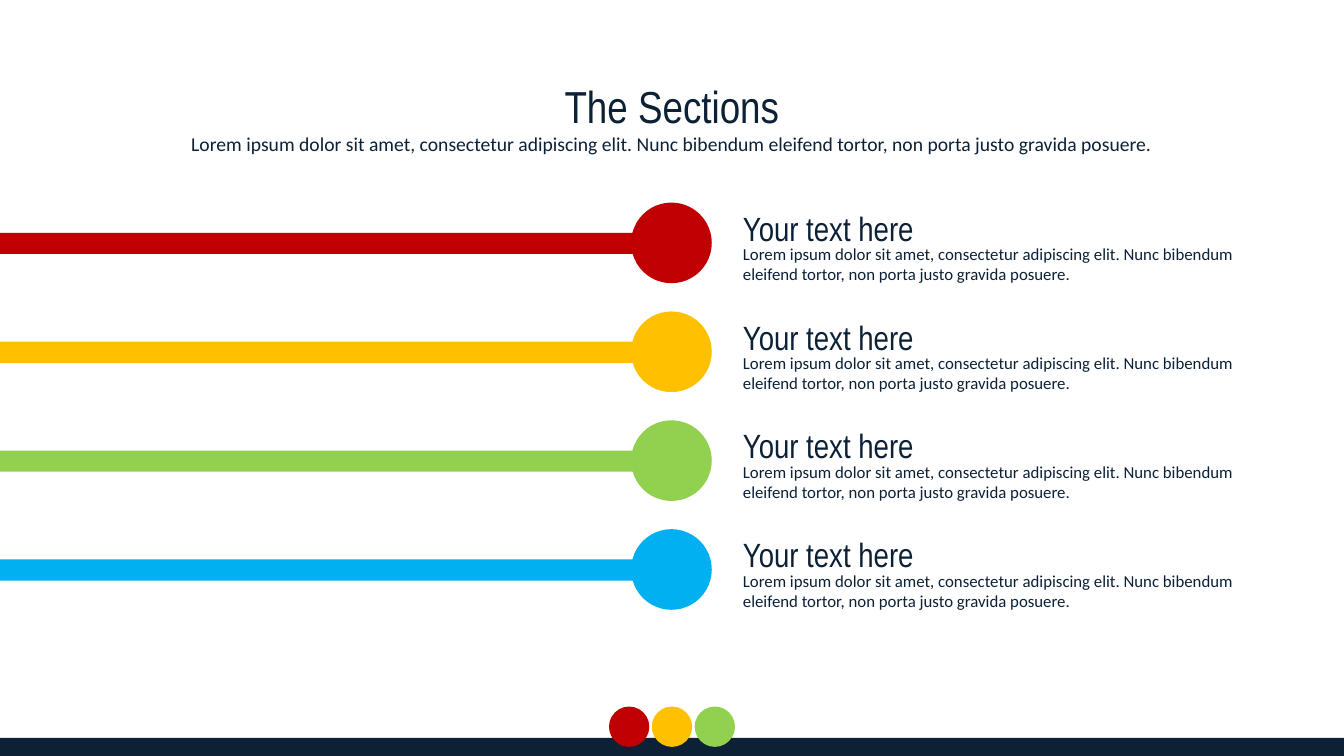
"""Build a slide with four coloured sections under a centred heading."""
from pptx import Presentation
from pptx.dml.color import RGBColor
from pptx.enum import shapes, text
from pptx.util import Inches, Pt

COLORS = {
    "navy": "0C2036",
    "white": "FFFFFF",
    "red": "C00000",
    "amber": "FFC000",
    "green": "92D050",
    "blue": "00B0F0",
}
LOREM = (
    "Lorem ipsum dolor sit amet, consectetur adipiscing elit. "
    "Nunc bibendum eleifend tortor, non porta justo gravida posuere."
)
WIDTH, HEIGHT = 13.33, 7.5


class Deck:
    """Hold the style and the current slide."""

    heading_font = "Arial Narrow"
    body_font = "Calibri"

    def __init__(self, prs):
        """Add a blank white slide."""
        self.s = prs.slides.add_slide(prs.slide_layouts[6])
        fill = self.s.background.fill
        fill.solid()
        fill.fore_color.rgb = self.color("white")

    def color(self, name):
        """Return a named colour."""
        return RGBColor.from_string(COLORS[name])

    def shape(self, kind, box, color):
        """Add a flat filled shape."""
        sp = self.s.shapes.add_shape(kind, *map(Inches, box))
        sp.shadow.inherit = False
        sp.fill.solid()
        sp.fill.fore_color.rgb = self.color(color)
        sp.line.fill.background()

    def bar(self, box, color):
        """Add a rectangle."""
        self.shape(shapes.MSO_SHAPE.RECTANGLE, box, color)

    def dot(self, left, top, size, color):
        """Add a circle."""
        self.shape(shapes.MSO_SHAPE.OVAL, (left, top, size, size), color)

    def label(self, box, words, size, font, align=text.PP_ALIGN.LEFT, spacing=None):
        """Add a wrapped text box."""
        tf = self.s.shapes.add_textbox(*map(Inches, box)).text_frame
        tf.word_wrap = True
        tf.auto_size = text.MSO_AUTO_SIZE.SHAPE_TO_FIT_TEXT
        p = tf.paragraphs[0]
        p.text = words
        p.alignment = align
        p.line_spacing = spacing
        p.font.size = Pt(size)
        p.font.name = font
        p.font.color.rgb = self.color("navy")

    def header(self):
        """Add the subtitle and the title."""
        center = text.PP_ALIGN.CENTER
        self.label((0, 1.14, WIDTH, 0.45), LOREM, 14, self.body_font, center, 1.5)
        self.label((0, 0.73, WIDTH, 0.64), "The Sections", 32, self.heading_font, center)

    def section(self, top, color):
        """Add one bar with its texts and circle."""
        self.bar((0, top + 0.3, 6.4, 0.21), color)
        self.label((7.27, top + 0.36, 5.38, 0.5), LOREM, 12, self.body_font)
        self.label((7.27, top, 5.38, 0.5), "Your text here", 24, self.heading_font)
        self.dot(6.26, top, 0.8, color)

    def footer(self):
        """Add the bottom strip with its three dots."""
        self.bar((0, 7.32, WIDTH, 0.18), "navy")
        for i, color in enumerate(("red", "amber", "green")):
            self.dot(6.04 + i * 0.425, 7.01, 0.4, color)


def main():
    """Build and save the slide."""
    prs = Presentation()
    prs.slide_width, prs.slide_height = Inches(WIDTH), Inches(HEIGHT)
    deck = Deck(prs)
    deck.footer()
    deck.header()
    for i, color in enumerate(("red", "amber", "green", "blue")):
        deck.section(2.01 + i * 1.08, color)
    prs.save("out.pptx")


if __name__ == "__main__":
    main()
